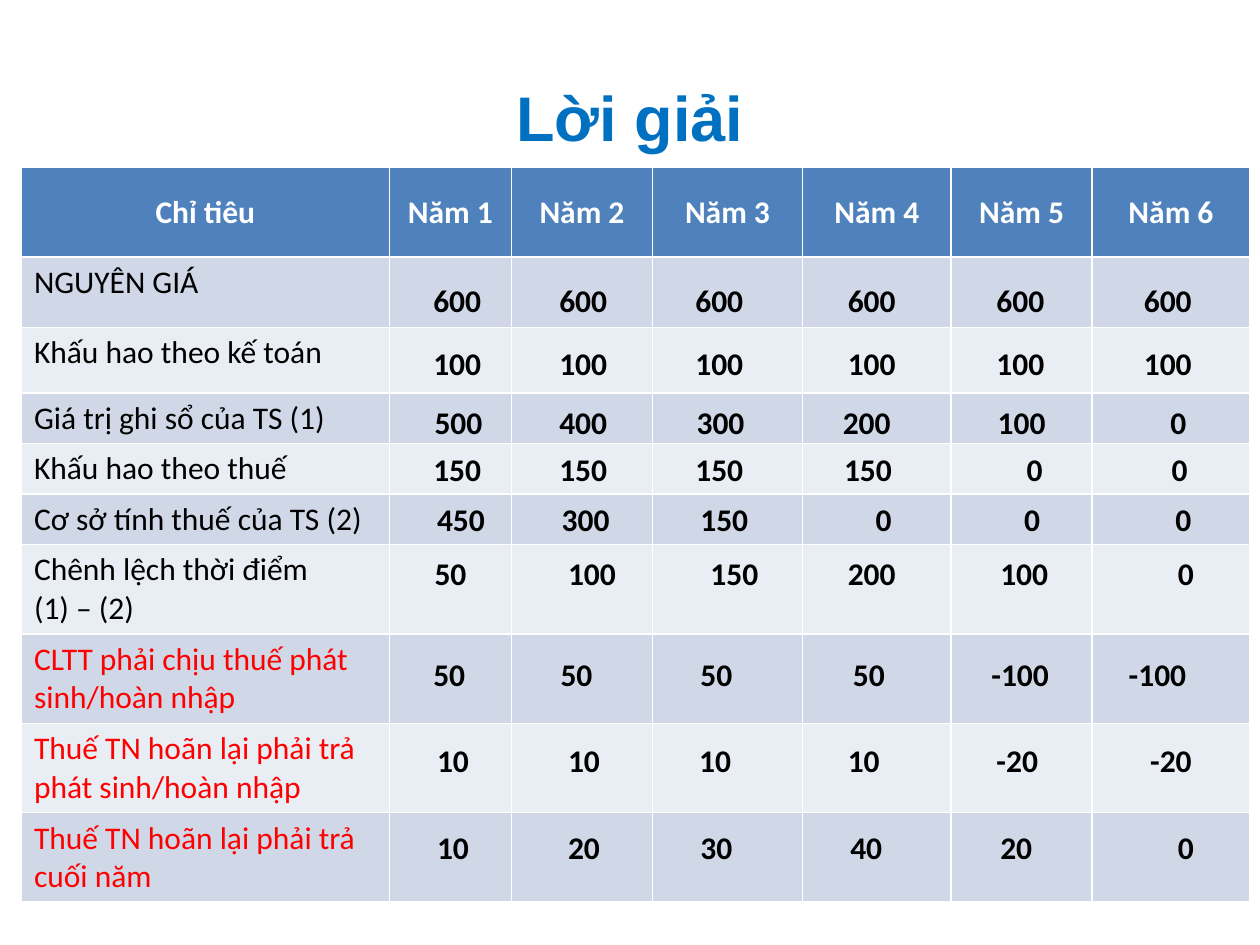
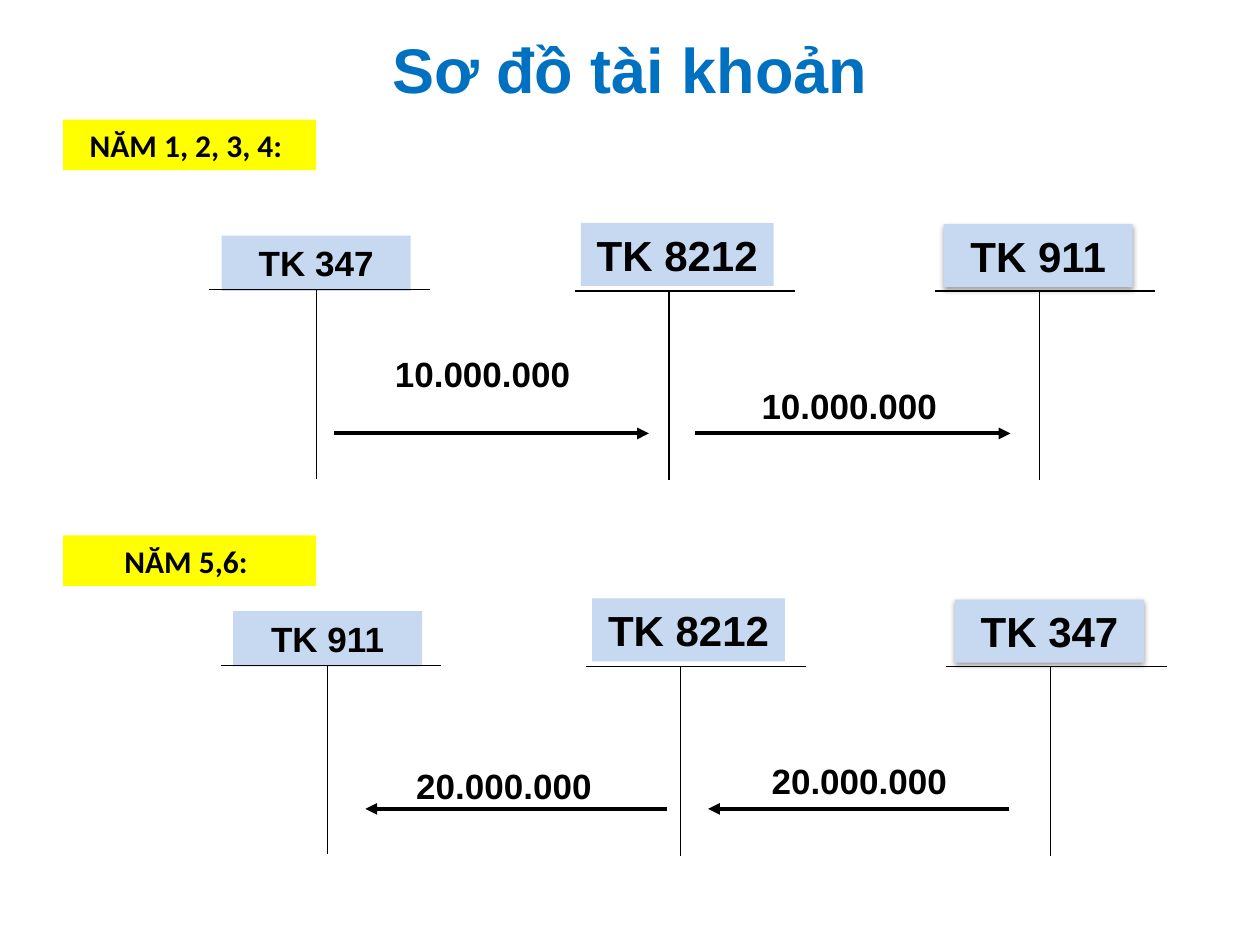
from collections import namedtuple
from itertools import accumulate

from lxml import etree
from pptx import Presentation, util as u
from pptx.dml.color import RGBColor
from pptx.enum import shapes, text
from pptx.oxml import ns

CELL = 0.1  # inches: the slide is a grid of 100 columns by 75 rows
COLUMNS, ROWS = 100, 75


class Theme:
    TITLE = dict(name="Arial", size=36, bold=True, color="0070C0")
    HEADER = dict(name="Calibri", size=18, bold=True, color="FFFFFF")
    LABEL = dict(name="Calibri", size=18, bold=False, color="000000")
    DEFERRED = dict(LABEL, color="FF0000")
    VALUE = dict(LABEL, bold=True)
    ACCOUNT = dict(name="Arial", size=24, bold=True, color="000000")
    AMOUNT = dict(ACCOUNT, size=20)
    HEADER_FILL = "4F81BD"
    BAND_FILLS = ("D0D8E8", "E9EDF4")
    ACCOUNT_FILL = "C6D9F1"
    PERIOD_FILL = "FFFF00"
    LINE = "000000"
    THIN, THICK = 0.75, 2.25


class Box(namedtuple("Box", "left top width height")):
    """An area in grid cells."""

    def inside(self, left, top, width, height):
        return Box(self.left + left, self.top + top, width, height)

    def lengths(self):
        return [grid(cells) for cells in self]


Row = namedtuple("Row", "label style height drop values shifts")
Account = namedtuple("Account", "left top name_box stem style shadow")

CENTER, LEFT = text.PP_ALIGN.CENTER, text.PP_ALIGN.LEFT
TOP, MIDDLE = text.MSO_ANCHOR.TOP, text.MSO_ANCHOR.MIDDLE

COLUMN_WIDTHS = (29.2, 9.7, 11.2, 11.9, 11.8, 11.2, 12.5)
VALUE_INSETS = (2.5, 2.8, 2.4, 2.6, 2.6, 3.1)
HEADER_HEIGHT = 7.1
HEADER = ["Chỉ tiêu"] + [f"Năm {year}" for year in range(1, 7)]
# drop: values below the row's top; shifts: values right of their column's inset
TAX_ROWS = [
    Row("NGUYÊN GIÁ", Theme.LABEL, 5.6, 1.4, [600] * 6, [0] * 6),
    Row("Khấu hao theo kế toán", Theme.LABEL, 5.2, 0.8, [100] * 6, [0] * 6),
    Row("Giá trị ghi sổ của TS (1)", Theme.LABEL, 4, 0.3,
        [500, 400, 300, 200, 100, 0], [0.1, 0, 0.1, -0.4, 0.1, 2.1]),
    Row("Khấu hao theo thuế", Theme.LABEL, 4, 0,
        [150, 150, 150, 150, 0, 0], [0, 0, 0, -0.3, 2.4, 2.2]),
    Row("Cơ sở tính thuế của TS (2)", Theme.LABEL, 4, 0,
        [450, 300, 150, 0, 0, 0], [0.3, 0.2, 0.4, 2.2, 2.2, 2.5]),
    Row("Chênh lệch thời điểm\n(1) – (2)", Theme.LABEL, 7.1, 0.3,
        [50, 100, 150, 200, 100, 0], [0.1, 0.7, 1.2, 0, 0.3, 2.7]),
    Row("CLTT phải chịu thuế phát sinh/hoàn nhập", Theme.DEFERRED, 7.1, 1.2,
        [50, 50, 50, 50, -100, -100], [0, 0.1, 0.4, 0.4, -0.4, -1.2]),
    Row("Thuế TN hoãn lại phải trả phát sinh/hoàn nhập", Theme.DEFERRED, 7.1, 0.9,
        [10, 10, 10, 10, -20, -20], [0.3, 0.7, 0.3, 0, 0, 0.5]),
    Row("Thuế TN hoãn lại phải trả cuối năm", Theme.DEFERRED, 7.1, 0.7,
        [10, 20, 30, 40, 20, 0], [0.3, 0.7, 0.4, 0.2, 0.3, 2.7]),
]

# name_box is relative to the left end of the account's bar
ACCOUNTS = [
    Account(0, -0.1, (1, -4.3, 15, 4.4), 8.5, Theme.AMOUNT, False),
    Account(29, 0, (0.5, -5.4, 15.3, 5), 7.5, Theme.ACCOUNT, False),
    Account(57.6, 0, (0.7, -5.3, 15, 5), 8.3, Theme.ACCOUNT, True),
]
BAR_WIDTH, STEM_HEIGHT = 17.5, 15


def grid(cells):
    return u.Inches(cells * CELL)


def write(frame, content, style, align=LEFT):
    frame.word_wrap = True
    for index, line in enumerate(content.split("\n")):
        paragraph = frame.add_paragraph() if index else frame.paragraphs[0]
        paragraph.alignment = align
        run = paragraph.add_run()
        run.text = line
        values = dict(style, size=u.Pt(style["size"]))
        run.font.color.rgb = RGBColor.from_string(values.pop("color"))
        for name, value in values.items():
            setattr(run.font, name, value)


def add_text(slide, box, content, style, align=LEFT, anchor=TOP):
    shape = slide.shapes.add_textbox(*box.lengths())
    shape.text_frame.vertical_anchor = anchor
    write(shape.text_frame, content, style, align)


def paint(target, color):
    target.fill.solid()
    target.fill.fore_color.rgb = RGBColor.from_string(color)


def add_label(slide, box, content, style, fill):
    shape = slide.shapes.add_shape(shapes.MSO_SHAPE.RECTANGLE, *box.lengths())
    shape.shadow.inherit = False
    paint(shape, fill)
    shape.line.fill.background()
    shape.text_frame.vertical_anchor = TOP
    write(shape.text_frame, content, style, CENTER)
    return shape


def cast_shadow(shape):
    effects = shape._element.spPr.find(ns.qn("a:effectLst"))
    shadow = etree.SubElement(effects, ns.qn("a:outerShdw"), blurRad="40000",
                              dist="20000", dir="5400000", rotWithShape="0")
    color = etree.SubElement(shadow, ns.qn("a:srgbClr"), val="000000")
    etree.SubElement(color, ns.qn("a:alpha"), val="38000")


def add_line(slide, start, end, width=Theme.THIN, arrow=False):
    points = [grid(cells) for cells in (*start, *end)]
    connector = slide.shapes.add_connector(shapes.MSO_CONNECTOR.STRAIGHT, *points)
    connector.line.width = u.Pt(width)
    connector.line.color.rgb = RGBColor.from_string(Theme.LINE)
    if arrow:
        etree.SubElement(connector.line._get_or_add_ln(), ns.qn("a:tailEnd"), type="triangle")
    etree.SubElement(connector._element.spPr, ns.qn("a:effectLst"))


def add_title(slide, top, content):
    add_text(slide, Box(5, top, 90, 12.5), content, Theme.TITLE, CENTER, MIDDLE)


def add_tax_table(slide, box):
    table = slide.shapes.add_table(len(TAX_ROWS) + 1, len(HEADER), *box.lengths()).table
    for column, width in zip(table.columns, COLUMN_WIDTHS):
        column.width = grid(width)
    heights = [HEADER_HEIGHT] + [row.height for row in TAX_ROWS]
    for table_row, height in zip(table.rows, heights):
        table_row.height = grid(height)
    for column, heading in enumerate(HEADER):
        cell = table.cell(0, column)
        paint(cell, Theme.HEADER_FILL)
        cell.vertical_anchor = MIDDLE
        write(cell.text_frame, heading, Theme.HEADER, CENTER)
    for index, row in enumerate(TAX_ROWS):
        for column in range(len(HEADER)):
            paint(table.cell(index + 1, column), Theme.BAND_FILLS[index % 2])
        write(table.cell(index + 1, 0).text_frame, row.label, row.style)


def add_tax_values(slide, box):
    column_lefts = list(accumulate(COLUMN_WIDTHS))
    row_tops = accumulate([row.height for row in TAX_ROWS], initial=HEADER_HEIGHT)
    for row, top in zip(TAX_ROWS, row_tops):
        for value, left, inset, shift in zip(row.values, column_lefts, VALUE_INSETS, row.shifts):
            width = 8 if value <= -100 else 5.8
            place = box.inside(left + inset + shift, top + row.drop, width, 4)
            add_text(slide, place, str(value), Theme.VALUE)


def add_account(slide, box, account, name):
    """Draw a T account whose bar is the top edge of the box."""
    label = add_label(slide, box.inside(*account.name_box), name, account.style,
                      Theme.ACCOUNT_FILL)
    if account.shadow:
        cast_shadow(label)
    stem = box.left + account.stem
    add_line(slide, (box.left, box.top), (box.left + box.width, box.top))
    add_line(slide, (stem, box.top), (stem, box.top + box.height))


def add_posting(slide, box, amount, amount_place, start, end):
    """Draw an arrow between two accounts, with its amount above."""
    add_line(slide, (box.left + start, box.top + 11.3), (box.left + end, box.top + 11.3),
             Theme.THICK, arrow=True)
    add_text(slide, box.inside(*amount_place, 25.8, 4.4), amount, Theme.AMOUNT, CENTER)


def add_period(slide, box, period, period_top, names, amount, postings):
    add_label(slide, Box(5, period_top, 20.1, 4), period, Theme.VALUE, Theme.PERIOD_FILL)
    for account, name in zip(ACCOUNTS, names):
        place = box.inside(account.left, account.top, BAR_WIDTH, STEM_HEIGHT)
        add_account(slide, place, account, name)
    for posting in postings:
        add_posting(slide, box, amount, *posting)


def build_solution(slide):
    add_title(slide, 3, "Lời giải")
    height = HEADER_HEIGHT + sum(row.height for row in TAX_ROWS)
    box = Box(1.7, 13.3, sum(COLUMN_WIDTHS), height)
    add_tax_table(slide, box)
    add_tax_values(slide, box)


def build_accounts(slide):
    add_title(slide, -0.8, "Sơ đồ tài khoản")
    add_period(slide, Box(16.6, 23.1, 75.1, STEM_HEIGHT), "NĂM 1, 2, 3, 4: ", 9.5,
               ("TK 347", "TK 8212", "TK 911"), "10.000.000",
               [((8.8, 4.4), 9.9, 34.9), ((37.9, 6.9), 38.6, 63.6)])
    add_period(slide, Box(17.5, 52.9, 75.1, STEM_HEIGHT), "NĂM 5,6: ", 42.5,
               ("TK 911", "TK 8212", "TK 347"), "20.000.000",
               [((9.6, 7.3), 35.4, 11.5), ((37.8, 6.9), 62.6, 38.7)])


def main():
    presentation = Presentation()
    presentation.slide_width, presentation.slide_height = grid(COLUMNS), grid(ROWS)
    for build in (build_solution, build_accounts):
        build(presentation.slides.add_slide(presentation.slide_layouts[6]))
    presentation.save("out.pptx")


if __name__ == "__main__":
    main()
